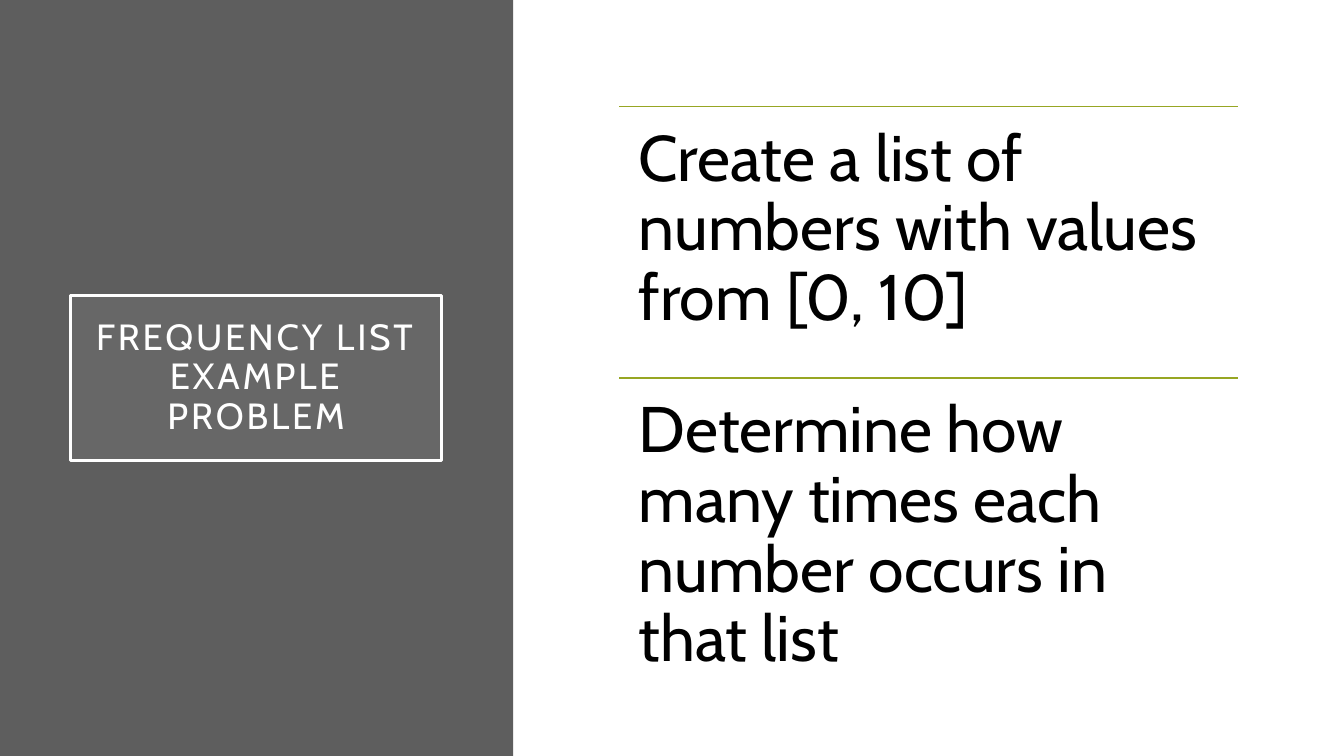
from dataclasses import dataclass
from lxml.etree import SubElement
from pptx import Presentation
from pptx.dml.color import RGBColor
from pptx.enum.shapes import MSO_CONNECTOR, MSO_SHAPE
from pptx.enum.text import MSO_ANCHOR, PP_ALIGN
from pptx.oxml.ns import qn
from pptx.util import Pt


@dataclass
class Theme:
    font: str = "Cabin"
    panel: RGBColor = RGBColor(0x5E, 0x5E, 0x5E)
    tint: RGBColor = RGBColor(0x9E, 0x9E, 0x9E)
    white: RGBColor = RGBColor(0xFF, 0xFF, 0xFF)
    black: RGBColor = RGBColor(0, 0, 0)
    rule: RGBColor = RGBColor(0x97, 0xA6, 0x23)
    title: int = 26
    body: int = 46


theme = Theme()


def add_rect(left, top, width, height, color):
    shape = slide.shapes.add_shape(
        MSO_SHAPE.RECTANGLE, Pt(left), Pt(top), Pt(width), Pt(height))
    shape.shadow.inherit = False
    shape.fill.solid()
    shape.fill.fore_color.rgb = color
    shape.line.fill.background()
    return shape


def write(shape, text, size, color, inset, align, anchor):
    frame = shape.text_frame
    frame.word_wrap = True
    frame.vertical_anchor = anchor
    frame.margin_left = frame.margin_right = Pt(inset)
    frame.margin_top = frame.margin_bottom = Pt(inset)
    para = frame.paragraphs[0]
    para.text = text
    para.alignment = align
    para.line_spacing = 0.9
    para.font.name = theme.font
    para.font.size = Pt(size)
    para.font.color.rgb = color
    return para


deck = Presentation()
deck.slide_width, deck.slide_height = Pt(960), Pt(540)
slide = deck.slides.add_slide(deck.slide_layouts[6])

add_rect(0, 0, 366.5, 540, theme.panel)

title = add_rect(50.5, 211, 265, 118, theme.tint)
tint = title.fill._xPr.find(qn("a:solidFill"))[0]
SubElement(tint, qn("a:alpha"), val="15000")
title.line.color.rgb = theme.white
title.line.width = Pt(2.5)
para = write(title, "FREQUENCY LIST\vEXAMPLE PROBLEM", theme.title,
             theme.white, 14.4, PP_ALIGN.CENTER, MSO_ANCHOR.MIDDLE)
for run in para.runs:
    run._r.get_or_add_rPr().set("spc", "200")

steps = [
    "Create a list of numbers with values from [0, 10]",
    "Determine how many times each number occurs in that list",
]
left, first, width, height = 442.5, 76, 441.5, 194
for index, step in enumerate(steps):
    top = first + index * height
    rule = slide.shapes.add_connector(
        MSO_CONNECTOR.STRAIGHT, Pt(left), Pt(top), Pt(left + width), Pt(top))
    rule.line.color.rgb = theme.rule
    rule.line.width = Pt(1)
    SubElement(rule._element.spPr, qn("a:effectLst"))
    box = slide.shapes.add_textbox(Pt(left), Pt(top), Pt(width), Pt(height))
    write(box, step, theme.body, theme.black, 13.8, PP_ALIGN.LEFT, MSO_ANCHOR.TOP)

deck.save("out.pptx")
